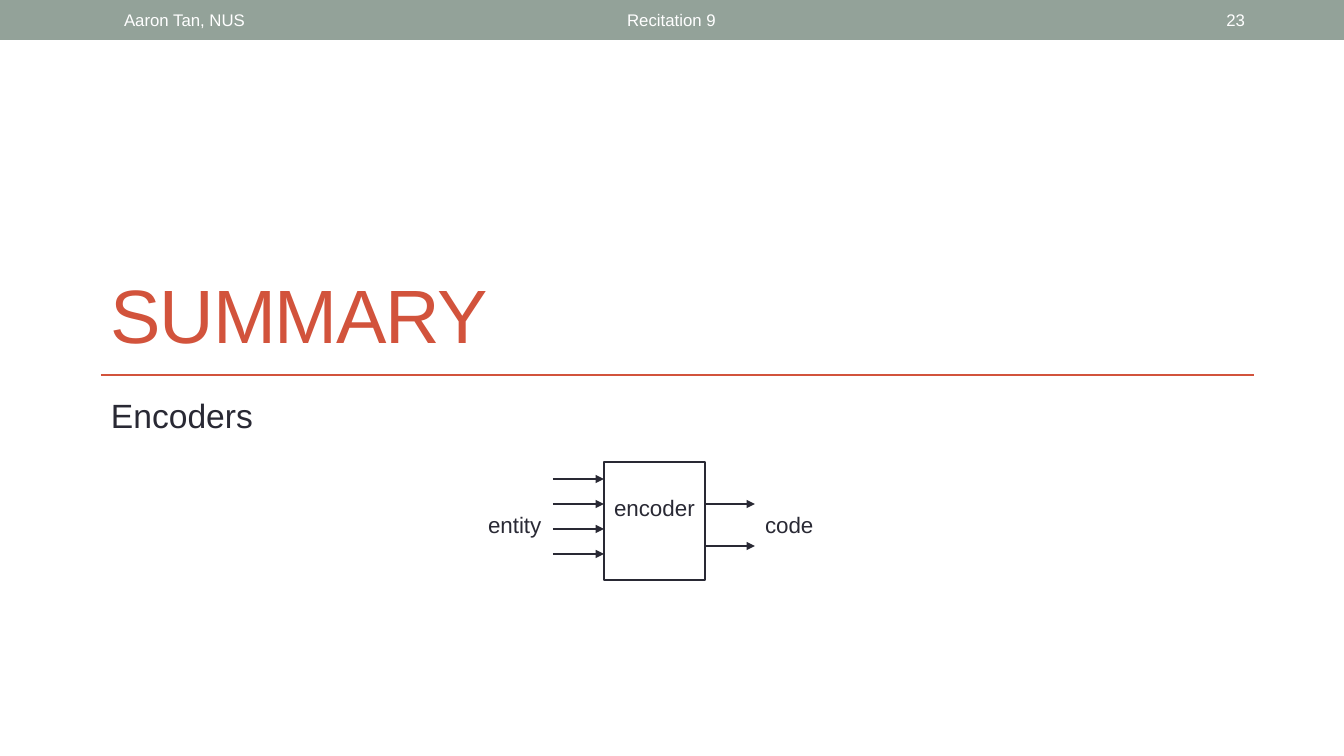
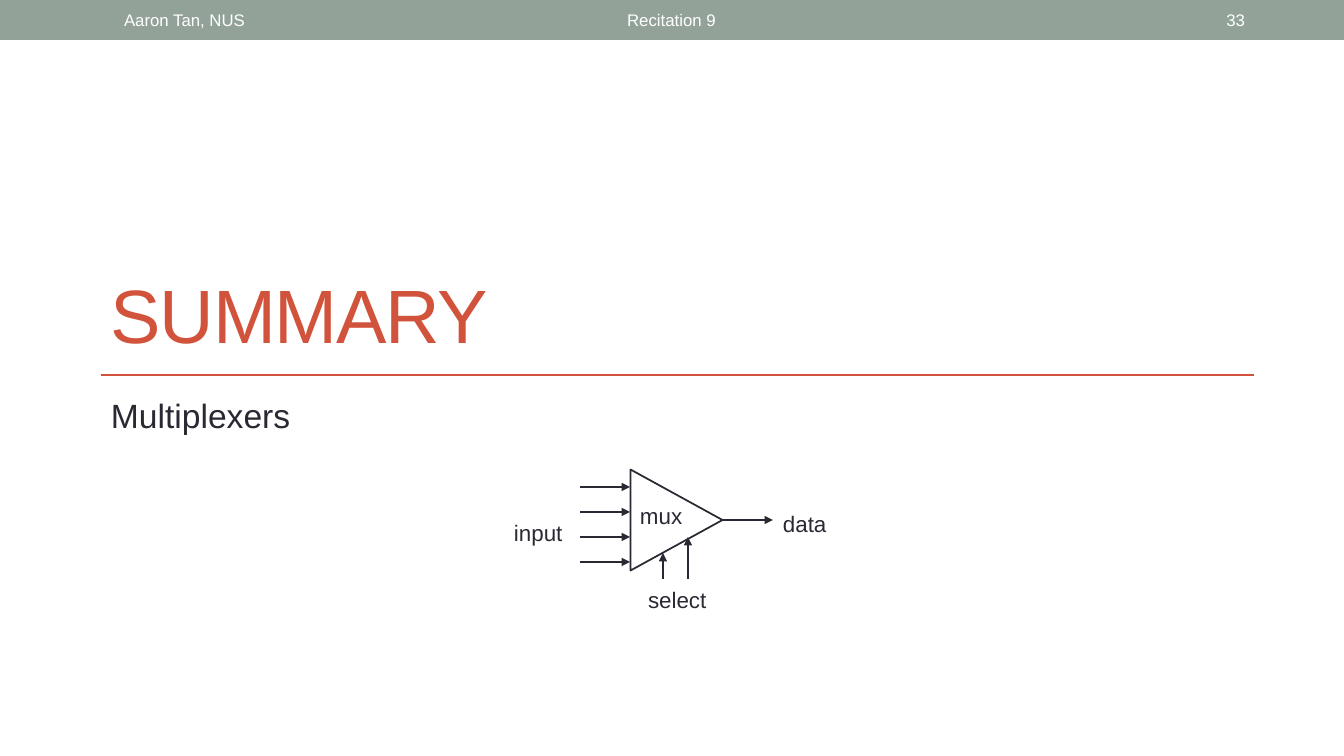
from dataclasses import dataclass

from lxml import etree
from pptx import Presentation
from pptx import util as u
from pptx.dml import color
from pptx.enum import shapes, text
from pptx.oxml import ns

EMU_PER_PX = 914400 / 100.8
PAGE_WIDTH, PAGE_HEIGHT = 1344, 756
INPUT_GAP = 25


@dataclass(frozen=True)
class Theme:
    font: str = "Arial"
    band: str = "93A299"
    accent: str = "D2533C"
    ink: str = "292934"
    paper: str = "FFFFFF"
    title_size: int = 54
    subtitle_size: int = 24
    label_size: int = 16
    footer_size: int = 12
    outline: float = 1.5
    arrow: float = 1.25


THEME = Theme()


@dataclass(frozen=True)
class TextStyle:
    size: int
    color: str
    anchor: text.MSO_ANCHOR = text.MSO_ANCHOR.TOP
    align: text.PP_ALIGN = text.PP_ALIGN.LEFT
    inset_top: int = 5
    inset_bottom: int = 5
    spacing: int = 0


TITLE = TextStyle(THEME.title_size, THEME.accent, text.MSO_ANCHOR.BOTTOM, spacing=-100)
SUBTITLE = TextStyle(THEME.subtitle_size, THEME.ink, inset_top=9)
LABEL = TextStyle(THEME.label_size, THEME.ink, inset_top=7, inset_bottom=3)


def footer_style(align: text.PP_ALIGN) -> TextStyle:
    return TextStyle(THEME.footer_size, THEME.paper, text.MSO_ANCHOR.MIDDLE, align)


@dataclass(frozen=True)
class Label:
    words: str
    left: int
    top: int
    width: int = 76
    height: int = 37
    style: TextStyle = LABEL


@dataclass(frozen=True)
class Arrow:
    x1: int
    y1: int
    x2: int
    y2: int


@dataclass(frozen=True)
class Block:
    kind: shapes.MSO_SHAPE
    left: int
    top: int
    width: int
    height: int
    line: float
    rotation: int = 0


@dataclass(frozen=True)
class Summary:
    topic: str
    number: int
    block: Block
    arrows: list[Arrow]
    labels: list[Label]


def px(*lengths: int) -> list[u.Emu]:
    return [u.Emu(round(length * EMU_PER_PX)) for length in lengths]


def rgb(value: str) -> color.RGBColor:
    return color.RGBColor.from_string(value)


def apply(target, values: dict) -> None:
    for name, value in values.items():
        setattr(target, name, value)


def add_label(page, label: Label) -> None:
    style = label.style
    box = page.shapes.add_textbox(*px(label.left, label.top, label.width, label.height))
    side, top, bottom = px(10, style.inset_top, style.inset_bottom)
    apply(box.text_frame, {
        "word_wrap": True,
        "vertical_anchor": style.anchor,
        "margin_left": side,
        "margin_right": side,
        "margin_top": top,
        "margin_bottom": bottom,
    })
    para = box.text_frame.paragraphs[0]
    para.alignment = style.align
    span = para.add_run()
    span.text = label.words
    apply(span.font, {"name": THEME.font, "size": u.Pt(style.size)})
    span.font.color.rgb = rgb(style.color)
    if style.spacing:
        span.font._element.set("spc", str(style.spacing))


def add_line(page, route: Arrow, ink: str, width: float, head: bool = False) -> None:
    line = page.shapes.add_connector(
        shapes.MSO_CONNECTOR.STRAIGHT, *px(route.x1, route.y1, route.x2, route.y2)
    )
    line.line.width = u.Pt(width)
    line.line.color.rgb = rgb(ink)
    if head:
        outline = line.line._get_or_add_ln()
        etree.SubElement(outline, ns.qn("a:tailEnd"), type="triangle")
    etree.SubElement(line._element.spPr, ns.qn("a:effectLst"))


def add_block(page, block: Block) -> None:
    shape = page.shapes.add_shape(
        block.kind, *px(block.left, block.top, block.width, block.height)
    )
    shape.rotation = block.rotation
    shape.shadow.inherit = False
    shape.fill.background()
    shape.line.width = u.Pt(block.line)
    shape.line.color.rgb = rgb(THEME.ink)


def add_frame(page, summary: Summary) -> None:
    band = page.shapes.add_shape(shapes.MSO_SHAPE.RECTANGLE, *px(0, 0, PAGE_WIDTH, 40))
    band.shadow.inherit = False
    band.fill.solid()
    band.fill.fore_color.rgb = rgb(THEME.band)
    band.line.fill.background()
    add_line(page, Arrow(101, 375, 1254, 375), THEME.accent, THEME.outline)
    for label in (
        Label("SUMMARY", 101, 151, 1153, 213, TITLE),
        Label(summary.topic, 101, 386, 941, 194, SUBTITLE),
        Label("Aaron Tan, NUS", 114, 2, 320, 36, footer_style(text.PP_ALIGN.LEFT)),
        Label("Recitation 9", 304, 2, 735, 36, footer_style(text.PP_ALIGN.CENTER)),
        Label(str(summary.number), 1159, 2, 96, 36, footer_style(text.PP_ALIGN.RIGHT)),
    ):
        add_label(page, label)


def input_arrows(left: int, right: int, top: int) -> list[Arrow]:
    return [
        Arrow(left, top + row * INPUT_GAP, right, top + row * INPUT_GAP)
        for row in range(4)
    ]


SUMMARIES = [
    Summary(
        "Encoders",
        23,
        Block(shapes.MSO_SHAPE.RECTANGLE, 604, 462, 101, 118, THEME.outline),
        input_arrows(553, 604, 479) + [Arrow(705, y, 755, y) for y in (504, 546)],
        [
            Label("encoder", 604, 487, 109),
            Label("code", 755, 504),
            Label("entity", 478, 504),
        ],
    ),
    Summary(
        "Multiplexers",
        33,
        Block(shapes.MSO_SHAPE.ISOSCELES_TRIANGLE, 626, 474, 101, 92, THEME.arrow, 90),
        input_arrows(580, 630, 487)
        + [Arrow(723, 520, 773, 520)]
        + [Arrow(x, 579, x, tip) for x, tip in ((663, 553), (688, 537))],
        [
            Label("mux", 630, 495),
            Label("data", 773, 503),
            Label("input", 504, 512),
            Label("select", 638, 579, 84),
        ],
    ),
]


def main() -> None:
    deck = Presentation()
    deck.slide_width, deck.slide_height = px(PAGE_WIDTH, PAGE_HEIGHT)
    for summary in SUMMARIES:
        page = deck.slides.add_slide(deck.slide_layouts[6])
        add_frame(page, summary)
        add_block(page, summary.block)
        for arrow in summary.arrows:
            add_line(page, arrow, THEME.ink, THEME.arrow, head=True)
        for label in summary.labels:
            add_label(page, label)
    deck.save("out.pptx")


if __name__ == "__main__":
    main()
